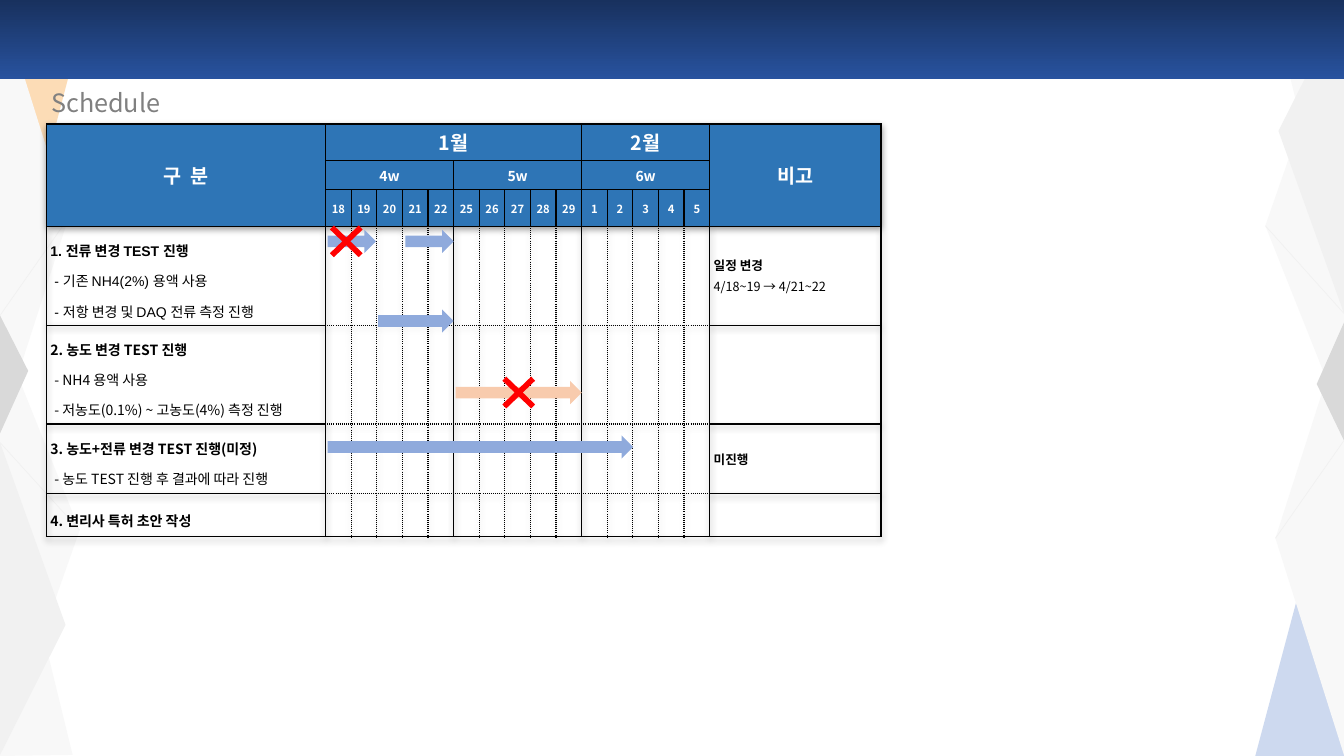
from dataclasses import dataclass
from typing import Optional

import pptx
import pptx.dml.color
import pptx.enum.dml
import pptx.enum.shapes
import pptx.enum.text
import pptx.oxml
import pptx.oxml.ns
import pptx.util

Inches = pptx.util.Inches
Pt = pptx.util.Pt
RGB = pptx.dml.color.RGBColor
MSO = pptx.enum.shapes.MSO_SHAPE
ALIGN = pptx.enum.text.PP_ALIGN

BLACK, WHITE = RGB(0, 0, 0), RGB(255, 255, 255)
GRAY, RED = RGB(0x80, 0x80, 0x80), RGB(255, 0, 0)
HEADER = RGB(0x2E, 0x75, 0xB6)
BLUE, ORANGE = RGB(0x8F, 0xAA, 0xDC), RGB(0xF8, 0xCB, 0xAD)
PALE, LIGHT, MID = RGB(0xF8, 0xF8, 0xF8), RGB(0xF1, 0xF1, 0xF1), RGB(0xD9, 0xD9, 0xD9)
PEACH, ICE = RGB(0xFC, 0xDC, 0xB6), RGB(0xCD, 0xD9, 0xEF)
BAR_TOP, BAR_BOTTOM = RGB(0x18, 0x31, 0x5E), RGB(0x28, 0x52, 0x9E)
KOREAN, LATIN = "Noto Sans CJK KR", "Arial"
NSDECL = 'xmlns:a="http://schemas.openxmlformats.org/drawingml/2006/main"'
W, H = 13.33, 7.5


@dataclass
class Facet:
    points: list[tuple[float, float]]
    color: RGB


@dataclass
class Mark:
    kind: MSO
    left: float
    top: float
    width: float
    height: float
    color: RGB


@dataclass
class Line:
    text: str
    size: float
    bold: bool = True
    font: str = KOREAN
    color: RGB = BLACK
    align: ALIGN = ALIGN.LEFT
    spacing: Optional[float] = None
    before: float = 0
    indent: float = 0
    tracking: int = 0


FACETS = [
    Facet([(0, 4.54), (0.72, 7.49), (0, 7.5)], PALE),
    Facet([(0.88, 0), (0.02, 3.27), (0, 0)], PEACH),
    Facet([(0.79, 5.26), (0, 7.5), (0, 3.29)], PALE),
    Facet([(0.68, 2.16), (0, 4.27), (0, 0)], PALE),
    Facet([(0.65, 6.2), (0, 7.49), (0, 4.39)], LIGHT),
    Facet([(0, 3.13), (0.28, 3.68), (0, 4.3)], MID),
    Facet([(W, 0), (W, 2.96), (12.61, 0)], PALE),
    Facet([(12.45, H), (13.32, 4.23), (W, H)], ICE),
    Facet([(12.55, 2.24), (W, 0), (W, 4.2)], PALE),
    Facet([(12.65, 5.34), (W, 3.22), (W, 7.49)], PALE),
    Facet([(12.68, 1.3), (W, 0.01), (W, 3.11)], LIGHT),
    Facet([(W, 4.37), (13.06, 3.81), (W, 3.2)], MID),
]
HAIRLINES = [(0.79, 5.26, 0, 4.39), (0, 3.13, 0.68, 2.16),
             (12.55, 2.24, W, 3.11), (W, 4.37, 12.65, 5.34)]
MARKS = [Mark(MSO.RIGHT_ARROW, x, y, w, 0.23, c) for x, y, w, c in [
    (3.25, 2.28, 0.48, BLUE), (3.25, 4.32, 3.03, BLUE), (3.75, 3.07, 0.75, BLUE),
    (4.52, 3.78, 1.25, ORANGE), (4.02, 2.28, 0.48, BLUE)]]
MARKS += [Mark(MSO.MATH_MULTIPLY, x, y, 0.55, 0.53, RED)
          for x, y in [(3.16, 2.13), (4.87, 3.63)]]

# Schedule contents
DAYS = [18, 19, 20, 21, 22, 25, 26, 27, 28, 29, 1, 2, 3, 4, 5]
WEEK = 5
NOTE_COL = len(DAYS) + 1
ROW_HEIGHTS = [0.35, 0.29, 0.36, 0.98, 0.97, 0.69, 0.43]
FIRST_TASK, LAST_TASK = 3, 6
# first row, first column, last row, last column, text, size
HEADERS = [(0, 0, 2, 0, "구 분", 14), (0, 1, 0, 10, "1월", 14), (0, 11, 0, 15, "2월", 14),
           (0, NOTE_COL, 2, NOTE_COL, "비고", 14)]
HEADERS += [(1, 1 + WEEK * i, 1, WEEK * (i + 1), f"{i + 4}w", 10) for i in range(3)]
HEADERS += [(2, i, 2, i, str(day), 8) for i, day in enumerate(DAYS, 1)]
TASKS = [
    (LATIN, ["1. 전류 변경 TEST 진행", "- 기존 NH4(2%) 용액 사용", "- 저항 변경 및 DAQ 전류 측정 진행"]),
    (KOREAN, ["2. 농도 변경 TEST 진행", "- NH4 용액 사용", "- 저농도(0.1%) ~ 고농도(4%) 측정 진행"]),
    (KOREAN, ["3. 농도+전류 변경 TEST 진행(미정)", "- 농도 TEST 진행 후 결과에 따라 진행"]),
    (KOREAN, ["4. 변리사 특허 초안 작성"]),
]
NOTES = {3: [Line("일정 변경", 9), Line("4/18~19 → 4/21~22", 9, False, before=1.8)],
         5: [Line("미진행", 9, font=LATIN)]}


def write(tf, lines: list[Line]) -> None:
    for i, line in enumerate(lines):
        p = tf.add_paragraph() if i else tf.paragraphs[0]
        p.alignment = line.align
        if line.spacing:
            p.line_spacing = line.spacing
        if line.before:
            p.space_before = Pt(line.before)
        if line.indent:
            p._p.get_or_add_pPr().set("marL", str(Inches(line.indent)))
        r = p.add_run()
        r.text = line.text
        r.font.size, r.font.bold, r.font.name = Pt(line.size), line.bold, line.font
        r.font.color.rgb = line.color
        rPr = r._r.get_or_add_rPr()
        rPr.append(pptx.oxml.parse_xml(f'<a:ea {NSDECL} typeface="{KOREAN}"/>'))
        if line.tracking:
            rPr.set("spc", str(line.tracking))


def set_borders(cell, dotted: str) -> None:
    tcPr = cell._tc.get_or_add_tcPr()
    for i, side in enumerate("LRTB"):
        dash = "sysDot" if side in dotted else "solid"
        tcPr.insert(i, pptx.oxml.parse_xml(
            f'<a:ln{side} {NSDECL} w="12700"><a:solidFill><a:srgbClr val="000000"/>'
            f'</a:solidFill><a:prstDash val="{dash}"/></a:ln{side}>'))


def dotted_sides(row: int, col: int) -> str:
    if row < FIRST_TASK or not 0 < col < NOTE_COL:
        return ""
    return (("L" if (col - 1) % WEEK else "") + ("R" if col % WEEK else "")
            + ("T" if row > FIRST_TASK else "") + ("B" if row < LAST_TASK else ""))


def add_facet(shapes, facet: Facet) -> None:
    pts = [(Inches(x), Inches(y)) for x, y in facet.points]
    fb = shapes.build_freeform(*pts[0])
    fb.add_line_segments(pts[1:], close=True)
    sp = fb.convert_to_shape()
    sp.shadow.inherit = False
    sp.fill.solid()
    sp.fill.fore_color.rgb = facet.color
    sp.line.fill.background()


def add_hairline(shapes, ends: tuple[float, ...]) -> None:
    cn = shapes.add_connector(pptx.enum.shapes.MSO_CONNECTOR.STRAIGHT, *map(Inches, ends))
    cn.line.color.rgb, cn.line.width = LIGHT, Pt(0.5)
    cn._element.spPr.append(pptx.oxml.parse_xml(f"<a:effectLst {NSDECL}/>"))


def add_mark(shapes, mark: Mark) -> None:
    sp = shapes.add_shape(mark.kind, *map(Inches, (mark.left, mark.top, mark.width, mark.height)))
    sp.shadow.inherit = False
    sp.fill.solid()
    sp.fill.fore_color.rgb = mark.color
    sp.line.fill.background()
    if mark.kind == MSO.MATH_MULTIPLY:
        sp.adjustments[0] = 0.105


def add_schedule(shapes) -> None:
    table = shapes.add_table(len(ROW_HEIGHTS), NOTE_COL + 1, Inches(0.46), Inches(1.23),
                             Inches(8.28), Inches(sum(ROW_HEIGHTS))).table
    table.first_row = table.horz_banding = False
    tblPr = table._tbl.tblPr
    tblPr.find(pptx.oxml.ns.qn("a:tableStyleId")).text = "{2D5ABB26-0587-4C30-8999-92F81FD0307C}"
    tblPr.insert(0, pptx.oxml.parse_xml(
        f'<a:effectLst {NSDECL}><a:outerShdw blurRad="63500" dist="25400" dir="5400000">'
        '<a:srgbClr val="000000"><a:alpha val="40000"/></a:srgbClr></a:outerShdw></a:effectLst>'))
    for column, width in zip(table.columns, [2.77] + [3.81 / len(DAYS)] * len(DAYS) + [1.7]):
        column.width = Inches(width)
    for r, height in enumerate(ROW_HEIGHTS):
        table.rows[r].height = Inches(height)
        for c in range(NOTE_COL + 1):
            cell = table.cell(r, c)
            cell.margin_left = cell.margin_right = Inches(0.04)
            cell.margin_top = cell.margin_bottom = Inches(0.04)
            cell.vertical_anchor = pptx.enum.text.MSO_ANCHOR.MIDDLE
            if r < FIRST_TASK:
                cell.fill.solid()
                cell.fill.fore_color.rgb = HEADER
            else:
                cell.fill.background()
            set_borders(cell, dotted_sides(r, c))
    for top, left, bottom, right, text, size in HEADERS:
        cell = table.cell(top, left)
        if (top, left) != (bottom, right):
            cell.merge(table.cell(bottom, right))
        write(cell.text_frame, [Line(text, size, color=WHITE, align=ALIGN.CENTER,
                                     tracking=150 if " " in text else 0)])
    for r, (font, texts) in enumerate(TASKS, FIRST_TASK):
        write(table.cell(r, 0).text_frame,
              [Line(t, 10, i == 0, font, spacing=1.5, indent=0.04 if i else 0)
               for i, t in enumerate(texts)])
    for r, lines in NOTES.items():
        write(table.cell(r, NOTE_COL).text_frame, lines)


def main() -> None:
    prs = pptx.Presentation()
    prs.slide_width, prs.slide_height = Inches(W), Inches(H)
    shapes = prs.slides.add_slide(prs.slide_layouts[6]).shapes
    # Background facets
    for facet in FACETS:
        add_facet(shapes, facet)
    for ends in HAIRLINES:
        add_hairline(shapes, ends)
    # Schedule table and title
    add_schedule(shapes)
    tf = shapes.add_textbox(Inches(0.41), Inches(0.82), Inches(2.04), Inches(0.4)).text_frame
    tf.word_wrap = True
    write(tf, [Line("Schedule", 18, False, color=GRAY)])
    # Top bar
    bar = shapes.add_shape(MSO.RECTANGLE, 0, 0, Inches(W), Inches(0.78))
    bar.shadow.inherit = False
    bar.line.fill.background()
    bar.fill.gradient()
    bar.fill.gradient_angle = 270
    for stop, color, position in zip(bar.fill.gradient_stops, (BAR_TOP, BAR_BOTTOM), (0, 1)):
        stop.color.rgb, stop.position = color, position
    # Progress arrows and cancellation crosses
    for mark in MARKS:
        add_mark(shapes, mark)
    prs.save("out.pptx")


if __name__ == "__main__":
    main()
